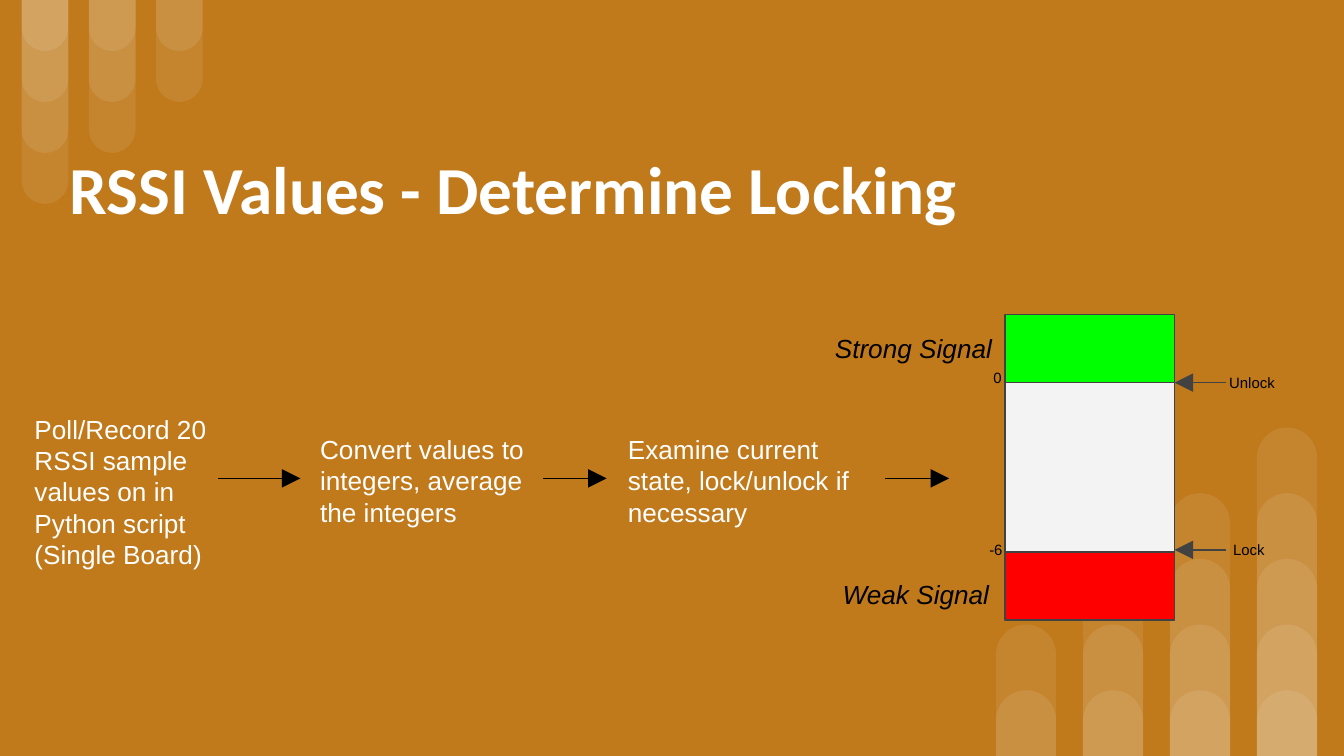
from dataclasses import dataclass

from lxml import etree
from pptx import Presentation
from pptx.dml.color import RGBColor
from pptx.enum import shapes, text
from pptx.oxml.ns import qn
from pptx.util import Pt


@dataclass(frozen=True)
class Theme:
    background: str = "C0791B"
    white: str = "FFFFFF"
    black: str = "000000"
    outline: str = "424242"
    strong: str = "00FF00"
    neutral: str = "F3F3F3"
    weak: str = "FF0000"
    bar_alpha: int = 9
    heading_font: str = "Calibri"
    body_font: str = "Arial"
    title_size: int = 36
    body_size: int = 14
    label_size: int = 8
    line_width: float = 0.75
    inset: float = 7.2


THEME = Theme()
WIDTH, HEIGHT = 720, 405
TITLE = "RSSI Values - Determine Locking"
TITLE_BOX = (30.2, 60.8, 640.8, 79.2)

# Text, box
STEPS = [
    ("Poll/Record 20 RSSI sample values on in Python script (Single Board)",
     (11.4, 214, 130.3, 101.5)),
    ("Convert values to integers, average the integers", (164.4, 225, 136, 79.2)),
    ("Examine current state, lock/unlock if necessary", (329.3, 225, 145.4, 79.2)),
]
STEP_ARROWS = [(117, 161), (291, 325), (474.3, 508.5)]
STEP_ARROW_Y = 256.3

# Fill, height, stacked from the top
GAUGE_LEFT, GAUGE_TOP, GAUGE_WIDTH = 538.4, 168.5, 90.9
ZONES = [(THEME.strong, 36.3), (THEME.neutral, 91), (THEME.weak, 36.3)]
THRESHOLD_ARROW_YS = [205, 294.6]
THRESHOLD_ARROW_START = 656.8

THRESHOLD_LABELS = [
    ("Unlock", (651.4, 193.2, 40.3, 14.4)),
    ("Lock", (653.5, 282.6, 36, 14.4)),
    ("0", (525.1, 190.4, 36, 14.4)),
    ("-6", (522.9, 282.6, 40.3, 14.4)),
]
SIGNAL_LABELS = [
    ("Strong Signal", (440.2, 170.9, 103, 23)),
    ("Weak Signal", (444.3, 302.4, 94.3, 23)),
]

# Each column overlays bars of 1, 2, ... segments
TOP_BARS = dict(left=11.6, pitch=36, width=25, segment=27.3, counts=(4, 3, 2))
BOTTOM_BARS = dict(left=533.6, pitch=46.6, width=32.2, segment=35.2, counts=(2, 3, 4, 5))


def color(value):
    return RGBColor.from_string(value)


def points(values):
    return [Pt(value) for value in values]


def add_bars(slide, left, pitch, width, segment, counts, hanging):
    for column, count in enumerate(counts):
        for level in range(1, count + 1):
            height = level * segment
            top = 0 if hanging else HEIGHT - height
            bar = slide.shapes.add_shape(
                shapes.MSO_SHAPE.ROUND_2_SAME_RECTANGLE,
                *points((left + column * pitch, top, width, height)))
            bar.adjustments[0], bar.adjustments[1] = 0.5, 0
            bar.rotation = 180 if hanging else 0
            bar.shadow.inherit = False
            bar.line.fill.background()
            bar.fill.solid()
            bar.fill.fore_color.rgb = color(THEME.white)
            fill_color = bar.element.spPr.find(qn("a:solidFill"))[0]
            alpha = etree.SubElement(fill_color, qn("a:alpha"))
            alpha.set("val", str(THEME.bar_alpha * 1000))


def write(shape, content, size, ink, font=THEME.body_font, bold=False, italic=False,
          anchor=text.MSO_ANCHOR.TOP):
    frame = shape.text_frame
    frame.word_wrap = True
    frame.auto_size = text.MSO_AUTO_SIZE.NONE
    frame.vertical_anchor = anchor
    frame.margin_left = frame.margin_right = Pt(THEME.inset)
    frame.margin_top = frame.margin_bottom = Pt(THEME.inset)
    paragraph = frame.paragraphs[0]
    paragraph.alignment = text.PP_ALIGN.LEFT
    run = paragraph.add_run()
    run.text = content
    run.font.name, run.font.size = font, Pt(size)
    run.font.bold, run.font.italic = bold, italic
    run.font.color.rgb = color(ink)


def add_texts(slide, items, size, ink, **style):
    for content, box in items:
        write(slide.shapes.add_textbox(*points(box)), content, size, ink, **style)


def add_arrow(slide, start, end, y, ink):
    arrow = slide.shapes.add_connector(
        shapes.MSO_CONNECTOR.STRAIGHT, *points((start, y, end, y)))
    arrow.line.color.rgb = color(ink)
    arrow.line.width = Pt(THEME.line_width)
    properties = arrow.element.spPr
    etree.SubElement(properties.find(qn("a:ln")), qn("a:tailEnd"),
                     type="triangle", w="lg", len="lg")
    etree.SubElement(properties, qn("a:effectLst"))


def add_gauge(slide):
    top = GAUGE_TOP
    for fill, height in ZONES:
        zone = slide.shapes.add_shape(
            shapes.MSO_SHAPE.RECTANGLE, *points((GAUGE_LEFT, top, GAUGE_WIDTH, height)))
        zone.shadow.inherit = False
        zone.fill.solid()
        zone.fill.fore_color.rgb = color(fill)
        zone.line.color.rgb = color(THEME.outline)
        zone.line.width = Pt(THEME.line_width)
        top += height
    for y in THRESHOLD_ARROW_YS:
        add_arrow(slide, THRESHOLD_ARROW_START, GAUGE_LEFT + GAUGE_WIDTH, y, THEME.outline)
    add_texts(slide, THRESHOLD_LABELS, THEME.label_size, THEME.black)
    add_texts(slide, SIGNAL_LABELS, THEME.body_size, THEME.black, italic=True)


def add_title(slide):
    title = slide.shapes.title
    title.left, title.top, title.width, title.height = points(TITLE_BOX)
    write(title, TITLE, THEME.title_size, THEME.white, font=THEME.heading_font,
          bold=True, anchor=text.MSO_ANCHOR.MIDDLE)
    title.element.getparent().append(title.element)  # in front of the bars


def main():
    presentation = Presentation()
    presentation.slide_width, presentation.slide_height = points((WIDTH, HEIGHT))
    slide = presentation.slides.add_slide(presentation.slide_layouts.get_by_name("Title Only"))
    slide.background.fill.solid()
    slide.background.fill.fore_color.rgb = color(THEME.background)
    add_bars(slide, **TOP_BARS, hanging=True)
    add_bars(slide, **BOTTOM_BARS, hanging=False)
    add_title(slide)
    add_gauge(slide)
    add_texts(slide, STEPS, THEME.body_size, THEME.white)
    for start, end in STEP_ARROWS:
        add_arrow(slide, start, end, STEP_ARROW_Y, THEME.black)
    presentation.save("out.pptx")


if __name__ == "__main__":
    main()
